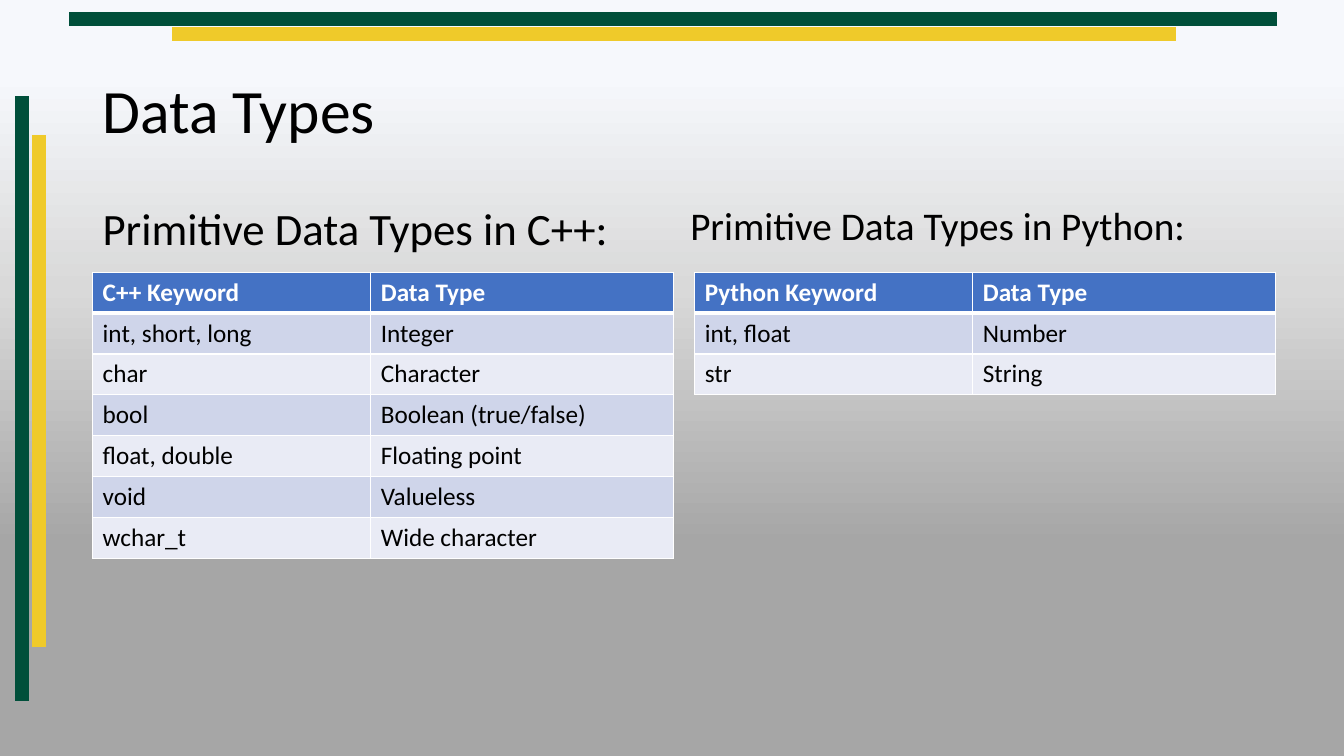
"""Build the Data Types slide comparing primitive types in C++ and Python."""
from lxml import etree
from pptx import Presentation
from pptx.dml.color import RGBColor
from pptx.enum.shapes import MSO_CONNECTOR
from pptx.enum.text import MSO_ANCHOR
from pptx.oxml.ns import qn
from pptx.util import Pt

STRAIGHT = MSO_CONNECTOR.STRAIGHT
TOP, MIDDLE = MSO_ANCHOR.TOP, MSO_ANCHOR.MIDDLE
FONT = "Calibri"
COLORS = {
    "green": "004F3A", "gold": "EFCA2A", "text": "000000", "white": "FFFFFF",
    "header": "4472C4", "odd": "CFD5EA", "even": "E9EBF5",
}
GRADIENT = [(10, "F6F8FC"), (38, "D9D9D9"), (72, "A6A6A6"), (100, "A6A6A6")]
BARS = [
    ("green", 49.4, 13.7, 912.4, 13.7),
    ("green", 15.9, 68.8, 15.9, 500.4),
    ("gold", 122.9, 24.4, 840.1, 24.4),
    ("gold", 28.1, 96.5, 28.1, 462.2),
]
TEXTS = [
    ("Data Types", (66.2, 28.8, 828, 104.4), 44, MIDDLE, 0),
    ("Primitive Data Types in C++:", (66.2, 144, 408.2, 342.7), 32, TOP, 10),
    ("Primitive Data Types in Python:", (486, 144, 408.2, 342.7), 28, TOP, 10),
]
TABLES = [
    (66.2, [
        ("C++ Keyword", "Data Type"),
        ("int, short, long", "Integer"),
        ("char", "Character"),
        ("bool", "Boolean (true/false)"),
        ("float, double", "Floating point"),
        ("void", "Valueless"),
        ("wchar_t", "Wide character"),
    ]),
    (496.2, [
        ("Python Keyword", "Data Type"),
        ("int, float", "Number"),
        ("str", "String"),
    ]),
]
TABLE_TOP, ROW_HEIGHT, COLUMN_WIDTHS = 194.4, 29.2, (198.7, 216)


def paint_background(slide):
    fill = slide.background.fill
    fill.gradient()
    fill.gradient_angle = 270
    stops = next(slide.element.iter(qn("a:gsLst")))
    for stop in list(stops):
        stops.remove(stop)
    for position, color in GRADIENT:
        stop = etree.SubElement(stops, qn("a:gs"), pos=str(position * 1000))
        etree.SubElement(stop, qn("a:srgbClr"), val=color)


def add_bar(slide, color, *ends):
    bar = slide.shapes.add_connector(STRAIGHT, *map(Pt, ends))
    bar.line.color.rgb = RGBColor.from_string(COLORS[color])
    bar.line.width = Pt(10)
    etree.SubElement(bar.element.spPr, qn("a:effectLst"))


def style_text(para, size, color, bold=False):
    for span in para.runs:
        span.font.name = FONT
        span.font.size = Pt(size)
        span.font.bold = bold
        span.font.color.rgb = RGBColor.from_string(COLORS[color])


def add_text(slide, text, place, size, anchor, space_before):
    frame = slide.shapes.add_textbox(*map(Pt, place)).text_frame
    frame.word_wrap = True
    frame.vertical_anchor = anchor
    frame.text = text
    para = frame.paragraphs[0]
    para.line_spacing = 0.9
    para.space_before = Pt(space_before)
    style_text(para, size, "text")


def add_borders(cell, top, bottom):
    properties = cell._tc.get_or_add_tcPr()
    for side, width in (("L", 1), ("R", 1), ("T", top), ("B", bottom)):
        line = etree.SubElement(properties, qn(f"a:ln{side}"), w=str(Pt(width)))
        fill = etree.SubElement(line, qn("a:solidFill"))
        etree.SubElement(fill, qn("a:srgbClr"), val=COLORS["white"])


def add_types_table(slide, left, rows):
    place = (left, TABLE_TOP, sum(COLUMN_WIDTHS), ROW_HEIGHT * len(rows))
    table = slide.shapes.add_table(
        len(rows), len(COLUMN_WIDTHS), *map(Pt, place)).table
    for column, width in zip(table.columns, COLUMN_WIDTHS):
        column.width = Pt(width)
    for index, values in enumerate(rows):
        table.rows[index].height = Pt(ROW_HEIGHT)
        is_header = index == 0
        band = "header" if is_header else ("even", "odd")[index % 2]
        for cell, value in zip(table.rows[index].cells, values):
            cell.text = value
            add_borders(cell, 3 if index == 1 else 1, 3 if is_header else 1)
            cell.fill.solid()
            cell.fill.fore_color.rgb = RGBColor.from_string(COLORS[band])
            style_text(cell.text_frame.paragraphs[0], 18,
                       "white" if is_header else "text", is_header)


def main():
    deck = Presentation()
    deck.slide_width, deck.slide_height = Pt(960), Pt(540)
    slide = deck.slides.add_slide(deck.slide_layouts[6])
    paint_background(slide)
    for bar in BARS:
        add_bar(slide, *bar)
    for text in TEXTS:
        add_text(slide, *text)
    for left, rows in TABLES:
        add_types_table(slide, left, rows)
    deck.save("out.pptx")


if __name__ == "__main__":
    main()
